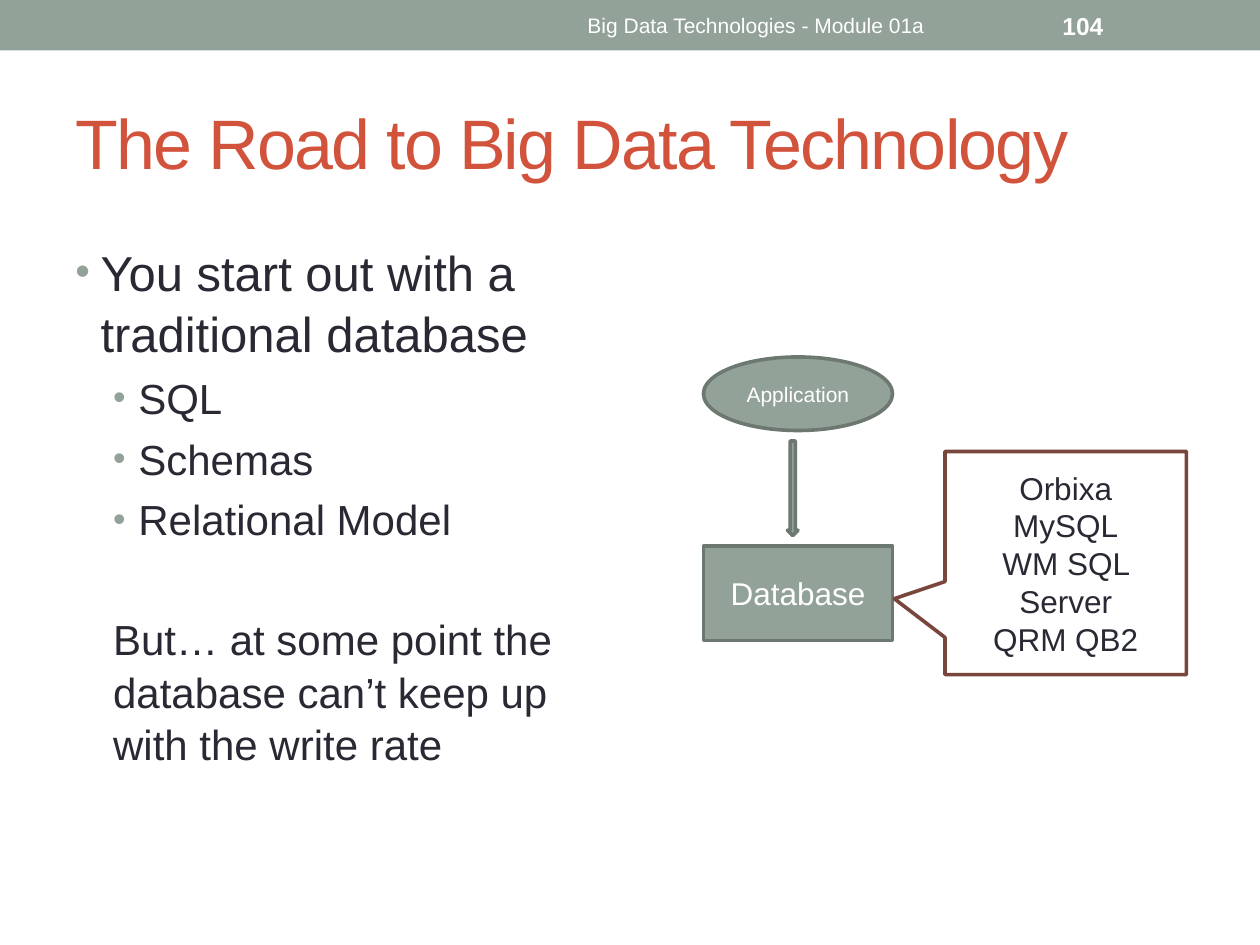
from lxml import etree
from pptx import Presentation
from pptx.dml.color import RGBColor
from pptx.enum.shapes import MSO_SHAPE
from pptx.enum.text import MSO_ANCHOR, PP_ALIGN
from pptx.oxml.ns import qn
from pptx.util import Pt

LEFT, CENTER = PP_ALIGN.LEFT, PP_ALIGN.CENTER
TOP, MIDDLE = MSO_ANCHOR.TOP, MSO_ANCHOR.MIDDLE
TITLE_ONLY = 5
FONT = "Arial"
OUTLINE_WIDTH = 2.08
COLORS = {
    "sage": "93A299",
    "sage_dark": "6D7871",
    "red": "D2533C",
    "brown": "79463D",
    "ink": "292934",
    "white": "FFFFFF",
}

TITLE = "The Road to Big Data Technology"
# text, size, left margin, first-line indent, space before
BODY = [
    ("You start out with a traditional database", 28, 14.4, -14.4, 0),
    ("SQL", 24, 36, -14.4, 4.8),
    ("Schemas", 24, 36, -14.4, 4.8),
    ("Relational Model", 24, 36, -14.4, 4.8),
    ("But… at some point the database can’t keep up with the write rate",
     24, 21.6, 0, 38.6),
]
# text, frame, size, bold, alignment
HEADER = [
    ("Big Data Technologies - Module 01a", (270, 1.5, 324, 26), 12, False, CENTER),
    ("104", (600, 1.5, 84, 26), 14, True, LEFT),
]
# preset, frame, fill, outline, text lines, size, text colour
DIAGRAM = [
    (MSO_SHAPE.OVAL, (402, 204, 108, 42), "sage", "sage_dark",
     ["Application"], 12, "white"),
    (MSO_SHAPE.RECTANGLE, (402, 312, 108, 54), "sage", "sage_dark",
     ["Database"], 18, "white"),
    (MSO_SHAPE.DOWN_ARROW, (450, 252, 6, 54), "sage", "sage_dark",
     [], 18, "white"),
    (MSO_SHAPE.RECTANGULAR_CALLOUT, (540, 258, 138, 127.5), "white", "brown",
     ["Orbixa", "MySQL", "WM SQL Server", "QRM QB2"], 18, "ink"),
]
CALLOUT_TIP = (-0.71, 0.16)


def rgb(name):
    return RGBColor.from_string(COLORS[name])


def points(values):
    return [Pt(value) for value in values]


def style(para, size, color, align=LEFT, bold=False):
    para.alignment = align
    font = para.font
    font.name, font.size, font.bold = FONT, Pt(size), bold
    font.color.rgb = rgb(color)


def fill_text(frame, lines, size, color, align=LEFT, bold=False, anchor=MIDDLE):
    frame.word_wrap = True
    frame.vertical_anchor = anchor
    for index, line in enumerate(lines):
        para = frame.paragraphs[0] if index == 0 else frame.add_paragraph()
        para.text = line
        style(para, size, color, align, bold)


def add_block(page, preset, frame, fill, outline=None):
    block = page.shapes.add_shape(preset, *points(frame))
    block.shadow.inherit = False
    block.fill.solid()
    block.fill.fore_color.rgb = rgb(fill)
    if outline:
        block.line.color.rgb = rgb(outline)
        block.line.width = Pt(OUTLINE_WIDTH)
    else:
        block.line.fill.background()
    return block


def set_indent(para, margin, indent):
    """Set the indents, with a bullet where the first line hangs."""
    props = para._p.get_or_add_pPr()
    props.set("marL", str(Pt(margin)))
    props.set("indent", str(Pt(indent)))
    if indent < 0:
        color = etree.SubElement(props, qn("a:buClr"))
        etree.SubElement(color, qn("a:srgbClr"), val=COLORS["sage"])
        etree.SubElement(props, qn("a:buSzPct"), val="85000")
        etree.SubElement(props, qn("a:buFont"), typeface=FONT)
        etree.SubElement(props, qn("a:buChar"), char="•")


def add_title(page):
    title = page.shapes.title
    title.left, title.top, title.width, title.height = points((36, 42, 648, 78))
    fill_text(title.text_frame, [TITLE], 40, "red")
    for span in title.text_frame.paragraphs[0].runs:
        span._r.get_or_add_rPr().set("spc", "-100")


def add_body(page):
    box = page.shapes.add_textbox(*points((36, 132, 318, 371.5)))
    frame = box.text_frame
    frame.word_wrap = True
    frame.margin_top = Pt(5)
    for index, (text, size, margin, indent, before) in enumerate(BODY):
        para = frame.paragraphs[0] if index == 0 else frame.add_paragraph()
        para.text = text
        para.line_spacing = 1.04
        para.space_before = Pt(before)
        set_indent(para, margin, indent)
        style(para, size, "ink")


def main():
    deck = Presentation()
    deck.slide_width, deck.slide_height = Pt(720), Pt(540)
    page = deck.slides.add_slide(deck.slide_layouts[TITLE_ONLY])

    add_block(page, MSO_SHAPE.RECTANGLE, (0, 0, 720, 28.8), "sage")
    add_title(page)
    add_body(page)
    for text, frame, size, bold, align in HEADER:
        box = page.shapes.add_textbox(*points(frame))
        fill_text(box.text_frame, [text], size, "white", align, bold)
    for preset, frame, fill, outline, lines, size, color in DIAGRAM:
        block = add_block(page, preset, frame, fill, outline)
        fill_text(block.text_frame, lines, size, color, CENTER)
        if preset == MSO_SHAPE.RECTANGULAR_CALLOUT:
            block.adjustments[0], block.adjustments[1] = CALLOUT_TIP

    deck.save("out.pptx")


if __name__ == "__main__":
    main()
